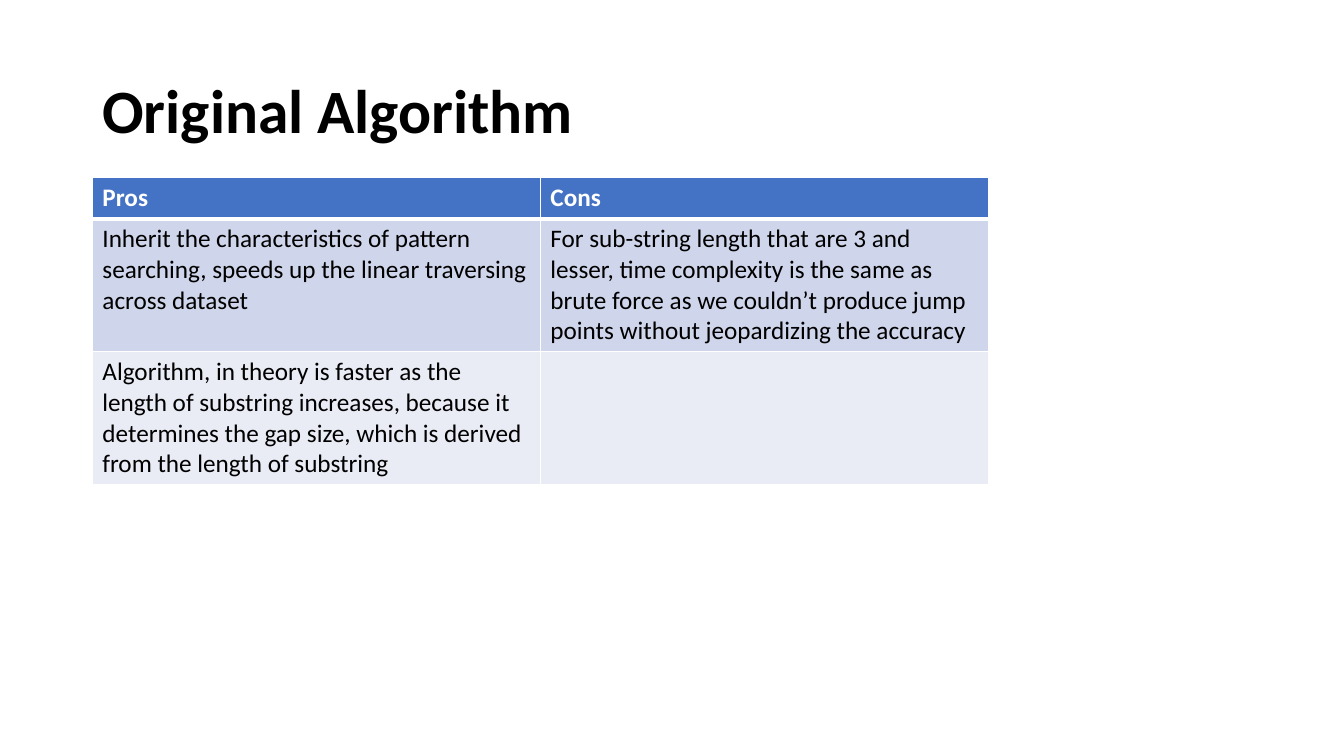
import pptx
import pptx.util
import pptx.dml.color
import pptx.enum.text
import pptx.oxml
import pptx.oxml.ns

Pt = pptx.util.Pt

COMPARISON = [
    ("Pros", "Cons"),
    (
        "Inherit the characteristics of pattern searching, speeds up the linear traversing across dataset",
        "For sub-string length that are 3 and lesser, time complexity is the same as brute force "
        "as we couldn’t produce jump points without jeopardizing the accuracy",
    ),
    (
        "Algorithm, in theory is faster as the length of substring increases, because it determines "
        "the gap size, which is derived from the length of substring",
        "",
    ),
]
ROW_FILLS = ["4472C4", "CFD5EA", "E9EBF5"]
ROW_HEIGHTS = [29.2, 95, 95]


def color(hex_code):
    return pptx.dml.color.RGBColor.from_string(hex_code)


def write(frame, text, size=18, ink="000000", bold=False, spacing=1.0):
    frame.word_wrap = True
    paragraph = frame.paragraphs[0]
    paragraph.line_spacing = spacing
    paragraph.font.size = Pt(size)
    if text:
        run = paragraph.add_run()
        run.text = text
        run.font.name = "Calibri"
        run.font.size = Pt(size)
        run.font.bold = bold
        run.font.color.rgb = color(ink)


def add_borders(cell, widths, ink="FFFFFF"):
    properties = cell._tc.get_or_add_tcPr()
    for position, (side, width) in enumerate(widths.items()):
        border = pptx.oxml.parse_xml(
            f'<a:{side} {pptx.oxml.ns.nsdecls("a")} w="{Pt(width)}">'
            f'<a:solidFill><a:srgbClr val="{ink}"/></a:solidFill></a:{side}>'
        )
        properties.insert(position, border)


def add_title(slide, left, top, width, height):
    title = slide.shapes.add_textbox(Pt(left), Pt(top), Pt(width), Pt(height))
    title.text_frame.vertical_anchor = pptx.enum.text.MSO_ANCHOR.MIDDLE
    write(title.text_frame, "Original Algorithm", size=44, bold=True, spacing=0.9)


def add_comparison(slide, left, top, width, height):
    table = slide.shapes.add_table(
        len(COMPARISON), 2, Pt(left), Pt(top), Pt(width), Pt(height)
    ).table
    for column in table.columns:
        column.width = Pt(width / 2)
    for row_index, (texts, fill, row_height) in enumerate(zip(COMPARISON, ROW_FILLS, ROW_HEIGHTS)):
        header = row_index == 0
        table.rows[row_index].height = Pt(row_height)
        for column_index, text in enumerate(texts):
            cell = table.cell(row_index, column_index)
            cell.fill.solid()
            cell.fill.fore_color.rgb = color(fill)
            write(cell.text_frame, text, ink="FFFFFF" if header else "000000", bold=header)
            add_borders(cell, {
                "lnL": 1,
                "lnR": 1,
                "lnT": 3 if row_index == 1 else 1,
                "lnB": 3 if header else 1,
            })


def main():
    deck = pptx.Presentation()
    deck.slide_width, deck.slide_height = Pt(960), Pt(540)
    slide = deck.slides.add_slide(deck.slide_layouts[6])
    add_title(slide, 66, 28.75, 828, 104.4)
    add_comparison(slide, 66, 127, 640, sum(ROW_HEIGHTS))
    deck.save("out.pptx")


if __name__ == "__main__":
    main()
